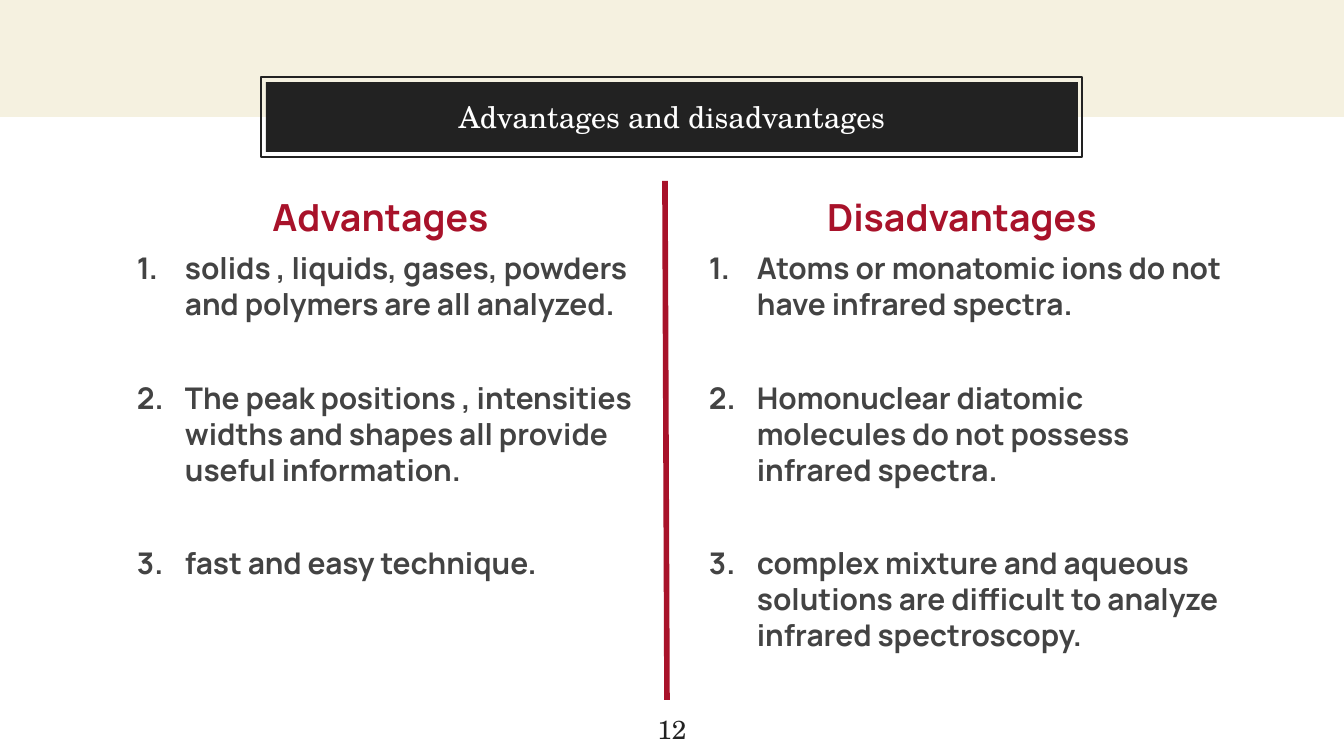
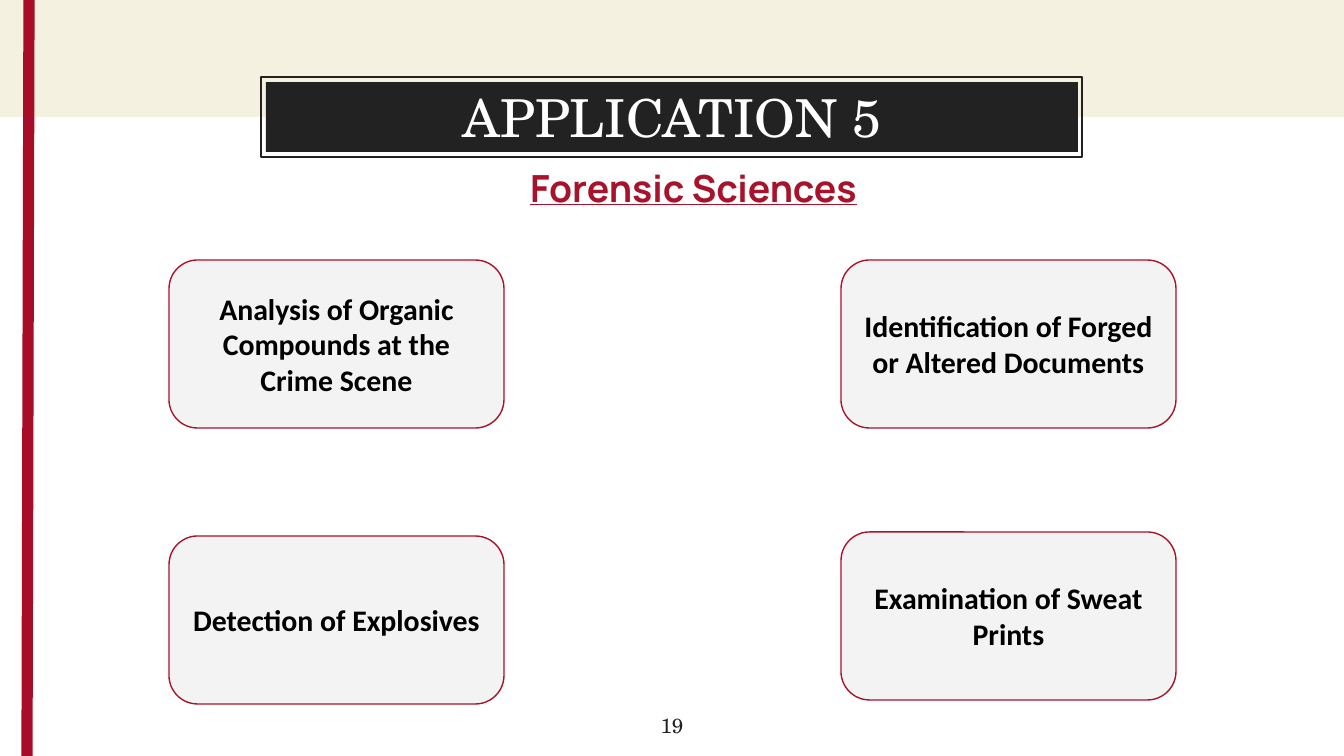
from lxml import etree
from pptx import Presentation
from pptx.dml.color import RGBColor
from pptx.enum.shapes import MSO_CONNECTOR, MSO_SHAPE
from pptx.enum.text import MSO_ANCHOR, MSO_AUTO_SIZE, PP_ALIGN
from pptx.oxml.ns import qn
from pptx.util import Pt

RECT, ROUNDED = MSO_SHAPE.RECTANGLE, MSO_SHAPE.ROUNDED_RECTANGLE
STRAIGHT = MSO_CONNECTOR.STRAIGHT
LEFT, CENTER = PP_ALIGN.LEFT, PP_ALIGN.CENTER
TOP, MIDDLE = MSO_ANCHOR.TOP, MSO_ANCHOR.MIDDLE

CREAM = RGBColor(0xF5, 0xF1, 0xE0)
INK = RGBColor(0x22, 0x22, 0x22)
WHITE = RGBColor(0xFF, 0xFF, 0xFF)
CRIMSON = RGBColor(0xA8, 0x12, 0x2A)
DEEP_CRIMSON = RGBColor(0xA7, 0x0D, 0x26)
GREY = RGBColor(0x43, 0x43, 0x43)
PALE = RGBColor(0xF3, 0xF3, 0xF3)
BLACK = RGBColor(0, 0, 0)

SERIF, SANS, CARD_FONT = "TeX Gyre Schola", "Manrope", "Calibri"
HEADING = dict(name=SANS, size=Pt(20), bold=True, color=CRIMSON)
ITEM = dict(name=SANS, size=Pt(16), bold=True, color=GREY)
CARD = dict(name=CARD_FONT, size=Pt(16), bold=True, color=BLACK)

SLIDE_W, SLIDE_H = 1344, 756
EMU_PER_PX = 9144000 / SLIDE_W
INSET = 13
ITEM_INDENT, ITEM_HANGING = 67, 48
ITEM_GAP = 31  # points between numbered items

COMPARISON = dict(title="Advantages and disadvantages", title_size=16, number="12", number_size=14)
COLUMNS = [
    ("Advantages", (105, 181, 551, 519), [
        "solids , liquids, gases, powders and polymers are all analyzed.",
        "The peak positions , intensities widths and shapes all provide useful information.",
        "fast and easy technique.",
    ]),
    ("Disadvantages", (677, 181, 570, 519), [
        "Atoms or monatomic ions do not have infrared spectra.",
        "Homonuclear diatomic molecules do not possess infrared spectra.",
        "complex mixture and aqueous solutions are difficult to analyze infrared spectroscopy.",
    ]),
]

FORENSICS = dict(title="APPLICATION 5", title_size=28, number="19", number_size=11)
SUBTITLE = "Forensic Sciences"
CARD_W, CARD_H = 335, 168
CARDS = [
    ("Analysis of Organic Compounds at the Crime Scene", 169, 260),
    ("Identification of Forged or Altered Documents", 841, 260),
    ("Examination of Sweat Prints", 841, 532),
    ("Detection of Explosives", 169, 536),
]


def px(n):
    return round(n * EMU_PER_PX)


def px_all(values):
    return [px(v) for v in values]


def set_frame(sp, anchor):
    tf = sp.text_frame
    frame = dict(word_wrap=True, auto_size=MSO_AUTO_SIZE.NONE, vertical_anchor=anchor)
    frame.update({f"margin_{side}": px(INSET) for side in ("left", "top", "right", "bottom")})
    for key, value in frame.items():
        setattr(tf, key, value)
    return tf


def write(p, text, style, align=CENTER, before=0):
    p.alignment = align
    p.space_before = Pt(before)
    r = p.add_run()
    r.text = text
    for key, value in style.items():
        if key == "color":
            r.font.color.rgb = value
        else:
            setattr(r.font, key, value)


def number_paragraph(p):
    """Turn a paragraph into an item of a 1. 2. 3. list."""
    pPr = p._p.get_or_add_pPr()
    pPr.set("marL", str(px(ITEM_INDENT)))
    pPr.set("indent", str(-px(ITEM_HANGING)))
    color = etree.SubElement(pPr, qn("a:buClr"))
    etree.SubElement(color, qn("a:srgbClr"), val=str(GREY))
    etree.SubElement(pPr, qn("a:buAutoNum"), type="arabicPeriod")


def add_box(slide, kind, box, fill=None, line=None):
    sp = slide.shapes.add_shape(kind, *px_all(box))
    sp.shadow.inherit = False
    if fill is None:
        sp.fill.background()
    else:
        sp.fill.solid()
        sp.fill.fore_color.rgb = fill
    if line is None:
        sp.line.fill.background()
    else:
        sp.line.color.rgb = line
        sp.line.width = Pt(0.75)
    return sp


def add_text(slide, box, text, style, before=0):
    tf = set_frame(slide.shapes.add_textbox(*px_all(box)), TOP)
    write(tf.paragraphs[0], text, style, before=before)
    return tf


def add_line(slide, ends, color, width):
    line = slide.shapes.add_connector(STRAIGHT, *px_all(ends))
    line.line.color.rgb = color
    line.line.width = Pt(width)
    etree.SubElement(line.element.spPr, qn("a:effectLst"))


def add_slide(prs, title, title_size, number, number_size):
    """Add a slide with the cream band, framed title and page number."""
    slide = prs.slides.add_slide(prs.slide_layouts[5])
    add_box(slide, RECT, (0, 0, SLIDE_W, 117), fill=CREAM)
    add_box(slide, RECT, (261, 77, 821, 80), line=INK)

    sp = slide.shapes.title
    sp.element.getparent().append(sp.element)
    sp.left, sp.top, sp.width, sp.height = px_all((266, 82, 812, 70))
    sp.fill.solid()
    sp.fill.fore_color.rgb = INK
    tf = set_frame(sp, MIDDLE)
    write(tf.paragraphs[0], title, dict(name=SERIF, size=Pt(title_size), color=WHITE))

    add_text(slide, (632, 700, 80, 44), number,
             dict(name=SERIF, size=Pt(number_size), color=INK))
    return slide


def build_comparison(prs):
    slide = add_slide(prs, **COMPARISON)
    for heading, box, items in COLUMNS:
        tf = add_text(slide, box, heading, HEADING, before=6)
        for i, item in enumerate(items):
            p = tf.add_paragraph()
            write(p, item, ITEM, LEFT, ITEM_GAP if i else 6)
            number_paragraph(p)
    add_line(slide, (665, 181, 667, 700), CRIMSON, 3)


def build_forensics(prs):
    slide = add_slide(prs, **FORENSICS)
    add_line(slide, (29, 0, 27, SLIDE_H), DEEP_CRIMSON, 6)
    add_text(slide, (97, 152, 1193, 85), SUBTITLE, dict(HEADING, underline=True), before=6)
    for text, left, top in CARDS:
        sp = add_box(slide, ROUNDED, (left, top, CARD_W, CARD_H), PALE, CRIMSON)
        sp.adjustments[0] = 0.17
        write(set_frame(sp, MIDDLE).paragraphs[0], text, CARD)


def main():
    prs = Presentation()
    prs.slide_width, prs.slide_height = px(SLIDE_W), px(SLIDE_H)
    build_comparison(prs)
    build_forensics(prs)
    prs.save("out.pptx")


if __name__ == "__main__":
    main()
